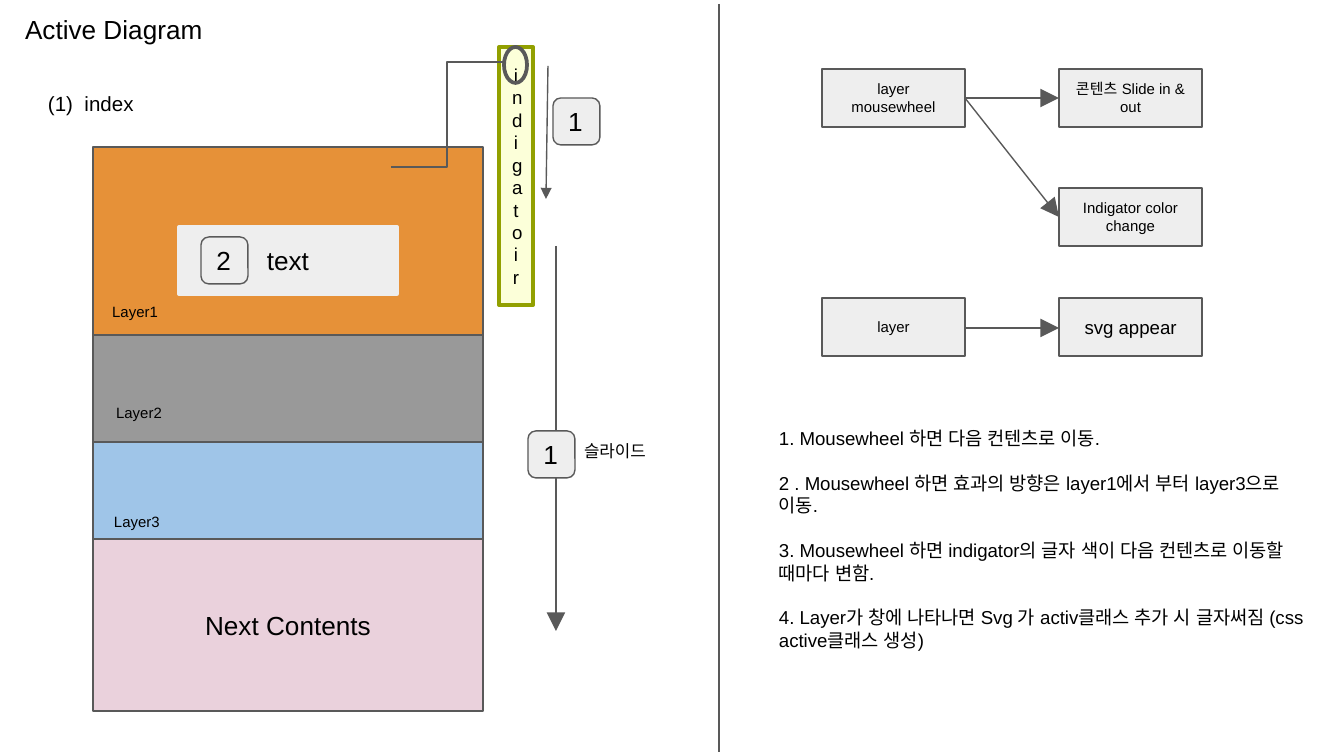
from dataclasses import dataclass

from lxml import etree
from pptx import Presentation
from pptx.dml.color import RGBColor
from pptx.enum.shapes import MSO_CONNECTOR, MSO_SHAPE
from pptx.enum.text import MSO_ANCHOR, PP_ALIGN
from pptx.oxml.ns import qn
from pptx.util import Pt

RECT, ROUND, OVAL = MSO_SHAPE.RECTANGLE, MSO_SHAPE.ROUNDED_RECTANGLE, MSO_SHAPE.OVAL
STRAIGHT, ELBOW = MSO_CONNECTOR.STRAIGHT, MSO_CONNECTOR.ELBOW
LEFT, CENTER, RIGHT = PP_ALIGN.LEFT, PP_ALIGN.CENTER, PP_ALIGN.RIGHT
TOP, MIDDLE = MSO_ANCHOR.TOP, MSO_ANCHOR.MIDDLE

EMU_PER_PIXEL = 914400 / 134.4
FONT = "Arial"
BLACK, GREY, PALE = "000000", "595959", "EEEEEE"
THIN, THICK = 0.75, 2
INSET = 13
LAYER_LEFT, LAYER_WIDTH = 93, 390
NODE_WIDTH, NODE_HEIGHT = 143, 58
SOURCE_LEFT, TARGET_LEFT = 822, 1059
BADGE_SIZE = 47


@dataclass
class Layer:
    """A coloured band of the page mock-up."""
    top: int
    height: int
    fill: str
    text: str = ""


@dataclass
class Label:
    """A free text with its frame and format."""
    text: str
    left: int
    top: int
    width: int
    height: int
    size: float
    align: PP_ALIGN = LEFT


@dataclass
class Node:
    """A box of the event flow."""
    text: str
    left: int
    top: int
    size: float = 8


@dataclass
class Line:
    """A connector between two points, with an optional arrowhead size."""
    start: tuple[int, int]
    end: tuple[int, int]
    head: str = ""
    kind: MSO_CONNECTOR = STRAIGHT


def px(length: float) -> int:
    """Turn pixels into EMU."""
    return round(length * EMU_PER_PIXEL)


def color(value: str) -> RGBColor:
    """Turn a hex string into a colour."""
    return RGBColor.from_string(value)


def write(shape, text: str, *, size: float, align=CENTER, anchor=MIDDLE, gap: float = 0) -> None:
    """Write one paragraph for each line of text into a shape."""
    frame = shape.text_frame
    frame.word_wrap = True
    frame.vertical_anchor = anchor
    frame.margin_left = frame.margin_right = px(INSET)
    frame.margin_top = frame.margin_bottom = px(INSET)
    for index, line in enumerate(text.split("\n")):
        para = frame.add_paragraph() if index else frame.paragraphs[0]
        para.alignment = align
        para.space_before = Pt(gap if index else 0)
        span = para.add_run()
        span.text = line
        span.font.size = Pt(size)
        span.font.name = FONT
        span.font.color.rgb = color(BLACK)
        east_asian = etree.SubElement(span.font._element, qn("a:ea"))
        east_asian.set("typeface", FONT)


def add_label(page, label: Label, gap: float = 0) -> None:
    """Add a text box."""
    box = page.shapes.add_textbox(px(label.left), px(label.top), px(label.width), px(label.height))
    write(box, label.text, size=label.size, align=label.align, anchor=TOP, gap=gap)


def add_box(page, kind, left: int, top: int, width: int, height: int, *,
            fill: str = "", line: str = GREY, weight: float = THIN):
    """Add a preset shape, hollow when no fill is given."""
    box = page.shapes.add_shape(kind, px(left), px(top), px(width), px(height))
    box.shadow.inherit = False
    if fill:
        box.fill.solid()
        box.fill.fore_color.rgb = color(fill)
    else:
        box.fill.background()
    box.line.color.rgb = color(line)
    box.line.width = Pt(weight)
    return box


def add_layer(page, layer: Layer) -> None:
    """Add one band of the page mock-up."""
    band = add_box(page, RECT, LAYER_LEFT, layer.top, LAYER_WIDTH, layer.height, fill=layer.fill)
    if layer.text:
        write(band, layer.text, size=14)


def add_node(page, node: Node) -> None:
    """Add one box of the event flow."""
    box = add_box(page, RECT, node.left, node.top, NODE_WIDTH, NODE_HEIGHT, fill=PALE)
    write(box, node.text, size=node.size)


def add_badge(page, number: str, left: int, top: int) -> None:
    """Add a rounded step number."""
    badge = add_box(page, ROUND, left, top, BADGE_SIZE, BADGE_SIZE, fill=PALE)
    write(badge, number, size=14, align=LEFT)


def add_line(page, line: Line) -> None:
    """Add a connector and its arrowhead."""
    (x1, y1), (x2, y2) = line.start, line.end
    connector = page.shapes.add_connector(line.kind, px(x1), px(y1), px(x2), px(y2))
    connector.line.color.rgb = color(GREY)
    connector.line.width = Pt(THIN)
    if line.head:
        etree.SubElement(connector.line._get_or_add_ln(), qn("a:tailEnd"),
                         type="triangle", w=line.head, len=line.head)
    etree.SubElement(connector._element.spPr, qn("a:effectLst"))


def add_indicator(page) -> None:
    """Add the vertical indicator with its marked first letter."""
    bar = add_box(page, RECT, 499, 47, 34, 258, fill="FCFFD9", line="92A000", weight=THICK)
    write(bar, "indigatoir", size=10)
    frame = bar.text_frame
    frame.margin_top = frame.margin_bottom = px(INSET / 2)
    frame._txBody.bodyPr.set("vert", "wordArtVertRtl")
    add_box(page, OVAL, 504, 47, 23, 36, weight=THICK)


LAYERS = [
    Layer(270, 270, "9FC5E8"),
    Layer(539, 172, "EAD1DC", "Next Contents"),
    Layer(172, 270, "999999"),
    Layer(147, 188, "E69138"),
]
LABELS = [
    Label("Active Diagram", 12, 0, 473, 47, 14),
    Label("(1)  index", 35, 79, 332, 47, 11),
    Label("슬라이드", 571, 431, 97, 47, 9),
    Label("Layer3", 101, 504, 89, 39, 8),
    Label("Layer2", 86, 395, 89, 39, 8, RIGHT),
    Label("Layer1", 90, 294, 81, 22, 8, RIGHT),
]
NOTES = Label(
    "1. Mousewheel 하면 다음 컨텐츠로 이동.\n"
    "2 . Mousewheel 하면 효과의 방향은 layer1에서 부터 layer3으로 이동.\n"
    "3. Mousewheel 하면 indigator의 글자 색이 다음 컨텐츠로 이동할 때마다 변함.\n"
    "4. Layer가 창에 나타나면 Svg 가 activ클래스 추가 시 글자써짐 (css active클래스 생성)",
    766, 414, 558, 297, 10)
NODES = [
    Node("layer mousewheel", SOURCE_LEFT, 69),
    Node("콘텐츠 Slide in & out", TARGET_LEFT, 69),
    Node("Indigator color change", TARGET_LEFT, 188),
    Node("layer", SOURCE_LEFT, 298),
    Node("svg appear", TARGET_LEFT, 298, 10),
]
SOURCE_RIGHT = SOURCE_LEFT + NODE_WIDTH
LINES = [
    Line((719, 4), (719, 752)),
    Line((556, 246), (556, 631), "lg"),
    Line((548, 66), (546, 199), "med"),
    Line((SOURCE_RIGHT, 98), (TARGET_LEFT, 98), "lg"),
    Line((SOURCE_RIGHT, 98), (TARGET_LEFT, 217), "lg"),
    Line((SOURCE_RIGHT, 328), (TARGET_LEFT, 328), "lg"),
    Line((391, 167), (503, 62), kind=ELBOW),
]
BADGES = [("1", 528, 431), ("2", 201, 237), ("1", 553, 98)]

deck = Presentation()
deck.slide_width, deck.slide_height = px(1344), px(756)
page = deck.slides.add_slide(deck.slide_layouts[6])
for layer in LAYERS:
    add_layer(page, layer)
for label in LABELS:
    add_label(page, label)
add_label(page, NOTES, gap=12)
for node in NODES:
    add_node(page, node)
add_indicator(page)
for line in LINES:
    add_line(page, line)
text_panel = add_box(page, RECT, 179, 227, 218, 67, fill=PALE, line=PALE, weight=THICK)
write(text_panel, "text", size=14)
for badge in BADGES:
    add_badge(page, *badge)
deck.save("out.pptx")
